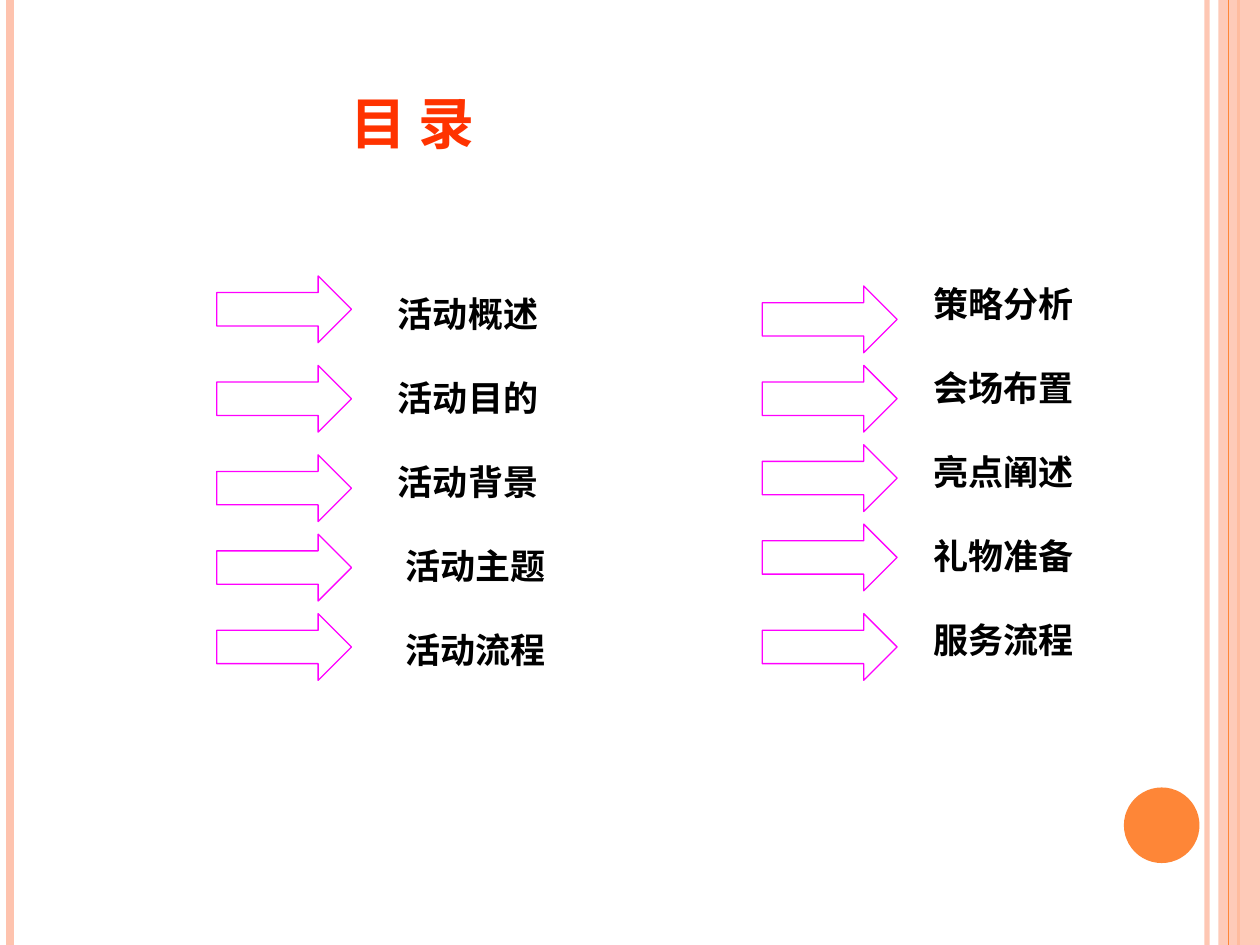
from lxml import etree
from pptx import Presentation
from pptx.dml.color import RGBColor
from pptx.enum.shapes import MSO_CONNECTOR as Link, MSO_SHAPE as Shape
from pptx.enum.text import MSO_ANCHOR as Anchor, PP_ALIGN as Align
from pptx.oxml.ns import qn
from pptx.util import Inches, Pt

FONT = "Noto Sans CJK SC"
PEACH = RGBColor(0xFE, 0xC3, 0xAE)
ORANGE = RGBColor(0xFE, 0x86, 0x37)
RED = RGBColor(0xFF, 0x33, 0x00)
PINK = RGBColor(0xFF, 0x00, 0xFF)
BLACK = RGBColor(0, 0, 0)
HIGH = 7.5

# Items as (text, indent in inches)
LEFT = [("活动概述", 0), ("活动目的", 0), ("活动背景", 0),
        ("活动主题", 0.06), ("活动流程", 0.06)]
RIGHT = [(text, 0) for text in
         ("策略分析", "会场布置", "亮点阐述", "礼物准备", "服务流程")]


def box(left, top, width, height):
    return [Inches(v) for v in (left, top, width, height)]


def style(run, size, color):
    font = run.font
    font.name, font.size, font.bold = FONT, Pt(size), True
    font.color.rgb = color
    props = run._r.get_or_add_rPr()
    etree.SubElement(props, qn("a:ea"), typeface=FONT)
    return props


def indent(para, inches):
    props = para._p.get_or_add_pPr()
    props.set("marL", str(Inches(inches)))
    props.set("indent", "0")


def set_alpha(fill, percent):
    color = fill._xPr.find(".//" + qn("a:srgbClr"))
    etree.SubElement(color, qn("a:alpha"), val=str(percent * 1000))


def add_rule(slide, x, color, width, alpha=100):
    rule = slide.shapes.add_connector(
        Link.STRAIGHT, Inches(x), 0, Inches(x), Inches(HIGH))
    rule.line.color.rgb = color
    rule.line.width = Pt(width)
    if alpha < 100:
        set_alpha(rule.line.fill, alpha)
    etree.SubElement(rule._element.spPr, qn("a:effectLst"))


def add_solid(slide, kind, area, color):
    part = slide.shapes.add_shape(kind, *area)
    part.shadow.inherit = False
    part.fill.solid()
    part.fill.fore_color.rgb = color
    part.line.fill.background()
    return part


def add_frame(slide):
    # Edge stripes and page dot
    add_rule(slide, 9.58, PEACH, 3, 93)
    add_rule(slide, 0.08, PEACH, 4.5)
    add_rule(slide, 9.83, ORANGE, 1.5)
    band = add_solid(slide, Shape.RECTANGLE, box(9.67, 0, 0.33, HIGH), PEACH)
    set_alpha(band.fill, 87)
    add_rule(slide, 9.75, ORANGE, 0.75)
    add_solid(slide, Shape.OVAL, box(8.92, 6.25, 0.6, 0.6), ORANGE)


def add_title(slide, area):
    title = slide.shapes.title
    title.left, title.top, title.width, title.height = area
    frame = title.text_frame
    frame.text = "目 录"
    frame.vertical_anchor = Anchor.MIDDLE
    para = frame.paragraphs[0]
    para.alignment = Align.LEFT
    indent(para, 2.18)
    style(para.runs[0], 40, RED).set("cap", "small")


def add_arrows(slide, left, tops):
    for top in tops:
        arrow = slide.shapes.add_shape(
            Shape.RIGHT_ARROW, *box(left, top, 1.07, 0.53))
        arrow.adjustments[1] = 0.5
        arrow.shadow.inherit = False
        arrow.fill.background()
        arrow.line.color.rgb = PINK
        arrow.line.width = Pt(0.75)


def add_list(slide, area, items):
    frame = slide.shapes.add_textbox(*area).text_frame
    frame.word_wrap = False
    for i, (text, gap) in enumerate(items):
        para = frame.add_paragraph() if i else frame.paragraphs[0]
        para.text = text
        para.alignment = Align.LEFT
        para.space_after = Pt(24)
        if gap:
            indent(para, gap)
        style(para.runs[0], 20, BLACK)


def main():
    deck = Presentation()
    deck.slide_width, deck.slide_height = Inches(10), Inches(HIGH)
    slide = deck.slides.add_slide(deck.slide_layouts[5])
    add_frame(slide)
    add_title(slide, box(0.5, 0.3, 8.17, 1.25))
    # Contents in two columns
    add_arrows(slide, 1.72, (2.19, 2.9, 3.61, 4.24, 4.87))
    add_arrows(slide, 6.05, (2.27, 2.9, 3.53, 4.16, 4.87))
    add_list(slide, box(3.06, 2.27, 1.41, 3.43), LEFT)
    add_list(slide, box(7.31, 2.19, 1.32, 3.43), RIGHT)
    deck.save("out.pptx")


if __name__ == "__main__":
    main()
